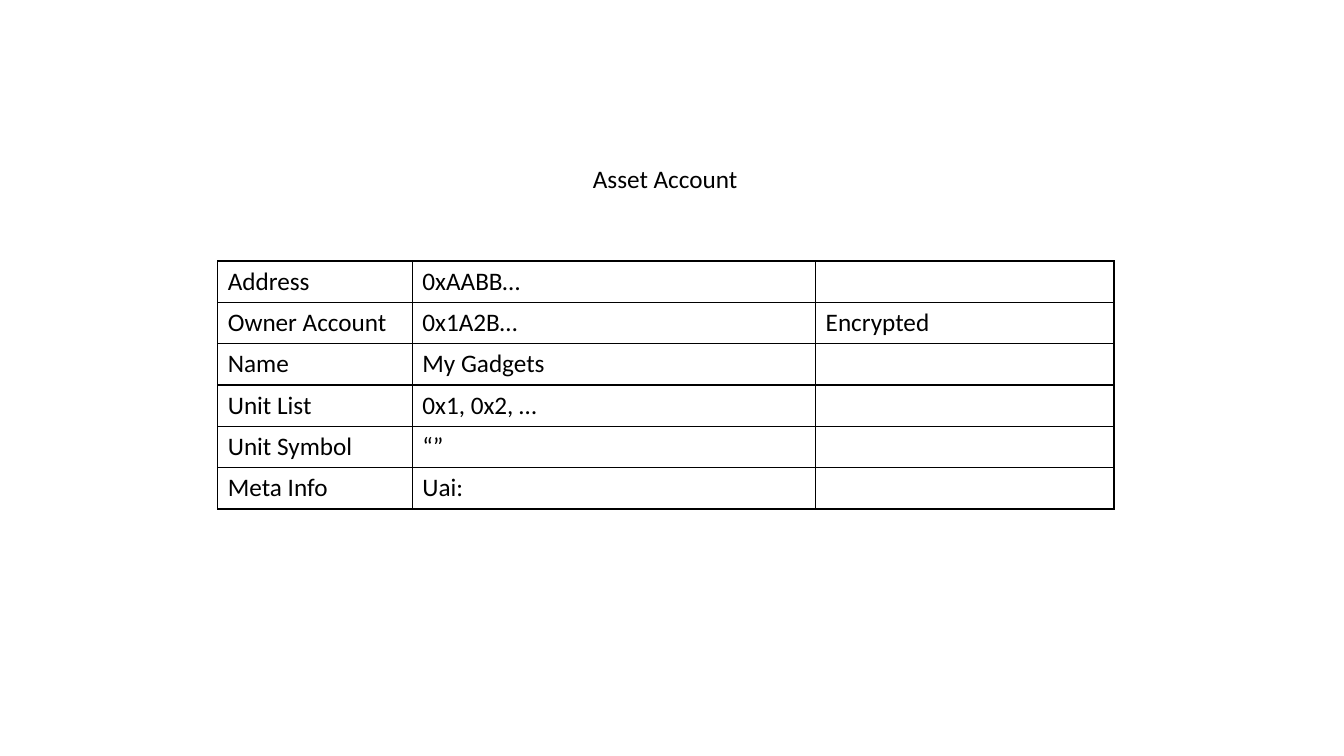
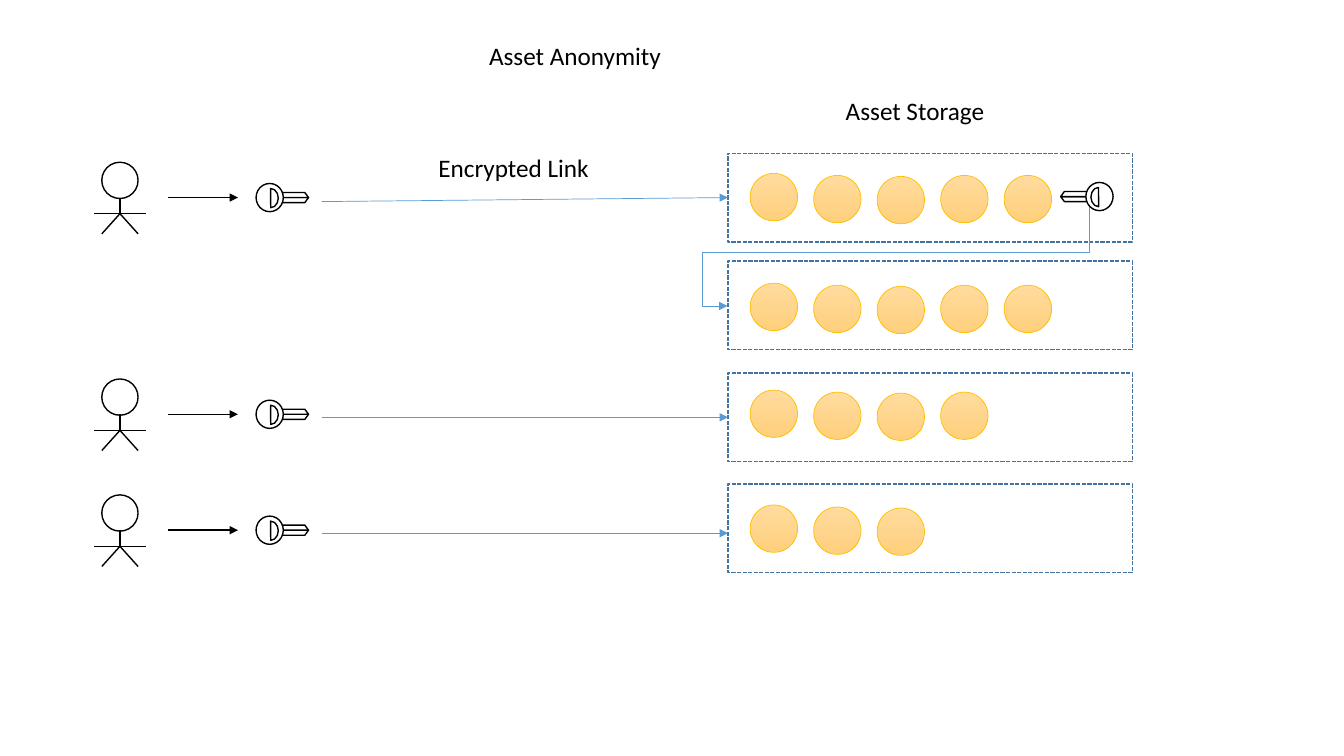
from lxml.etree import SubElement
from pptx import Presentation
from pptx.dml.color import RGBColor
from pptx.enum.dml import MSO_LINE
from pptx.enum.shapes import MSO_CONNECTOR, MSO_SHAPE
from pptx.enum.text import MSO_ANCHOR, MSO_AUTO_SIZE, PP_ALIGN
from pptx.oxml.ns import qn
from pptx.util import Inches, Pt

BLACK = RGBColor(0x00, 0x00, 0x00)
WHITE = RGBColor(0xFF, 0xFF, 0xFF)
BLUE = RGBColor(0x5B, 0x9B, 0xD5)
NAVY = RGBColor(0x43, 0x73, 0x9E)
GOLD = RGBColor(0xFF, 0xC0, 0x00)
COIN_TOP = RGBColor(0xFF, 0xDB, 0x9E)
COIN_BOTTOM = RGBColor(0xFF, 0xD0, 0x7C)
FONT = "Calibri"

ACCOUNT_TITLE = ("Asset Account", 5.78, 1.57, 1.65)
ACCOUNT_ROWS = [
    ("Address", "0xAABB…", ""),
    ("Owner Account", "0x1A2B…", "Encrypted"),
    ("Name", "My Gadgets", ""),
    ("Unit List", "0x1, 0x2, …", ""),
    ("Unit Symbol", "“”", ""),
    ("Meta Info", "Uai: ", ""),
]
COLUMN_WIDTHS = (1.93, 4, 2.96)
ROW_HEIGHT = 0.41

ANONYMITY_TITLE = ("Asset Anonymity", 4.75, 0.35, 2.01)
LABELS = [("Asset Storage", 8.29, 0.9, 1.63), ("Encrypted Link", 4.25, 1.46, 1.84)]
STORES = [(1.52, 1.72, 5), (2.59, 2.81, 5), (3.7, 3.87, 4), (4.8, 5.01, 3)]
STORE_LEFT, STORE_WIDTH, STORE_HEIGHT = 7.22, 4.01, 0.88
COIN_LEFT, COIN_PITCH, COIN_SIZE = 7.44, 0.63, 0.47
COIN_DROPS = (0, 0.02, 0.03, 0.02, 0.02)
OWNERS = [(1.96, 2, 1.96), (4.11, 4.14, 4.14), (5.26, 5.29, 5.29)]


def write(tf, text):
    """Write one black 18 pt run at the top left of a text frame."""
    tf.word_wrap = False
    tf.auto_size = MSO_AUTO_SIZE.NONE
    tf.vertical_anchor = MSO_ANCHOR.TOP
    p = tf.paragraphs[0]
    p.alignment = PP_ALIGN.LEFT
    add_run(p, text)


def add_run(p, text):
    """Add a run in the common text style."""
    r = p.add_run()
    r.text = text
    r.font.name, r.font.size = FONT, Pt(18)
    r.font.color.rgb = BLACK


def add_slide(prs, title):
    """Add a title-only slide with its title in place."""
    s = prs.slides.add_slide(prs.slide_layouts[5])
    text, x, y, w = title
    sp = s.shapes.title
    sp.left, sp.top, sp.width, sp.height = map(Inches, (x, y, w, 0.4))
    write(sp.text_frame, text)
    return s


def add_label(shapes, text, x, y, w):
    """Add a one-line text box."""
    write(shapes.add_textbox(*map(Inches, (x, y, w, 0.4))).text_frame, text)


def add_outline(shapes, kind, x, y, w, h, color=BLACK, width=1, fill=WHITE, adj=()):
    """Add an outlined preset shape without shadow."""
    sp = shapes.add_shape(kind, *map(Inches, (x, y, w, h)))
    sp.shadow.inherit = False
    sp.line.color.rgb, sp.line.width = color, Pt(width)
    if fill is None:
        sp.fill.background()
    else:
        sp.fill.solid()
        sp.fill.fore_color.rgb = fill
    for i, value in enumerate(adj):
        sp.adjustments[i] = value
    return sp


def add_line(shapes, x1, y1, x2, y2, color=BLACK, width=1, arrow=False,
             kind=MSO_CONNECTOR.STRAIGHT):
    """Add a connector, with an arrowhead at its end if asked."""
    line = shapes.add_connector(kind, *map(Inches, (x1, y1, x2, y2)))
    line.line.color.rgb, line.line.width = color, Pt(width)
    if arrow:
        SubElement(line.line._get_or_add_ln(), qn("a:tailEnd"), type="triangle")
    SubElement(line._element.spPr, qn("a:effectLst"))
    return line


def add_table(shapes, rows):
    """Add the account table with thin black cell borders."""
    frame = shapes.add_table(len(rows), len(COLUMN_WIDTHS), Inches(2.16), Inches(2.59),
                             Inches(sum(COLUMN_WIDTHS)), Inches(ROW_HEIGHT * len(rows)))
    table = frame.table
    table.first_row = table.horz_banding = False
    for column, width in zip(table.columns, COLUMN_WIDTHS):
        column.width = Inches(width)
    for i, row in enumerate(rows):
        for j, text in enumerate(row):
            cell = table.cell(i, j)
            tcPr = cell._tc.get_or_add_tcPr()
            for side in ("lnL", "lnR", "lnT", "lnB"):
                ln = SubElement(tcPr, qn("a:" + side), w=str(Pt(1)))
                fill = SubElement(ln, qn("a:solidFill"))
                SubElement(fill, qn("a:srgbClr"), val=str(BLACK))
            cell.fill.background()
            if text:
                add_run(cell.text_frame.paragraphs[0], text)


def add_person(shapes, x, y):
    """Add a stick figure whose neck is at x, y."""
    group = shapes.add_group_shape().shapes
    hip = y + 0.16
    add_outline(group, MSO_SHAPE.OVAL, x - 0.18, y - 0.35, 0.36, 0.36)
    add_line(group, x - 0.26, hip, x + 0.26, hip)
    add_line(group, x, y, x, hip)
    for foot in (x - 0.18, x + 0.18):
        add_line(group, x, hip, foot, y + 0.36)


def add_key(shapes, head, y, way):
    """Add a key from its head edge, pointing right (1) or left (-1)."""
    group = shapes.add_group_shape().shapes

    def part(kind, offset, top, w, h, adj=()):
        x = head + offset if way > 0 else head - offset - w
        return add_outline(group, kind, x, y + top, w, h, adj=adj)

    part(MSO_SHAPE.TRAPEZOID, 0.14, 0, 0.38, 0.05, (0.732,)).rotation = 180
    part(MSO_SHAPE.TRAPEZOID, 0.14, -0.05, 0.38, 0.05, (0.732,))
    part(MSO_SHAPE.OVAL, 0, -0.14, 0.27, 0.28)
    chord = part(MSO_SHAPE.CHORD, 0.07, -0.09, 0.15, 0.19, (53.37, 162))
    chord.rotation = 180 if way > 0 else 0


def add_coin(shapes, x, y):
    """Add a gold coin shaded from top to bottom."""
    sp = add_outline(shapes, MSO_SHAPE.OVAL, x, y, COIN_SIZE, COIN_SIZE, GOLD, 0.5)
    sp.fill.gradient()
    sp.fill.gradient_angle = 270
    for stop, color, position in zip(sp.fill.gradient_stops, (COIN_TOP, COIN_BOTTOM), (0, 1)):
        stop.color.rgb, stop.position = color, position


def add_store_link(shapes):
    """Add the bent arrow from the first store's key to the second store."""
    link = add_line(shapes, 8.52, 0.75, 9.5, 4.34, BLUE, 0.5, True, MSO_CONNECTOR.ELBOW)
    spPr = link._element.spPr
    spPr.find(qn("a:xfrm")).set("rot", str(90 * 60000))
    geom = spPr.find(qn("a:prstGeom"))
    geom.set("prst", "bentConnector4")
    guides = geom.find(qn("a:avLst"))
    for name, value in (("adj1", 45500), ("adj2", 107000)):
        SubElement(guides, qn("a:gd"), name=name, fmla=f"val {value}")


prs = Presentation()
prs.slide_width, prs.slide_height = Inches(13.33), Inches(7.5)

s = add_slide(prs, ACCOUNT_TITLE)
add_table(s.shapes, ACCOUNT_ROWS)

s = add_slide(prs, ANONYMITY_TITLE)
for label in LABELS:
    add_label(s.shapes, *label)
for top, coin_top, count in STORES:
    store = add_outline(s.shapes, MSO_SHAPE.RECTANGLE, STORE_LEFT, top, STORE_WIDTH,
                        STORE_HEIGHT, NAVY, fill=None)
    store.line.dash_style = MSO_LINE.SQUARE_DOT
    for i, drop in enumerate(COIN_DROPS[:count]):
        add_coin(s.shapes, COIN_LEFT + i * COIN_PITCH, coin_top + drop)
add_store_link(s.shapes)
add_key(s.shapes, 11.04, 1.95, -1)
for y, link_start, link_end in OWNERS:
    add_person(s.shapes, 1.19, y)
    add_line(s.shapes, 1.67, y, 2.36, y, arrow=True)
    add_key(s.shapes, 2.54, y, 1)
    add_line(s.shapes, 3.19, link_start, STORE_LEFT, link_end, BLUE, 0.5, True)

prs.save("out.pptx")
